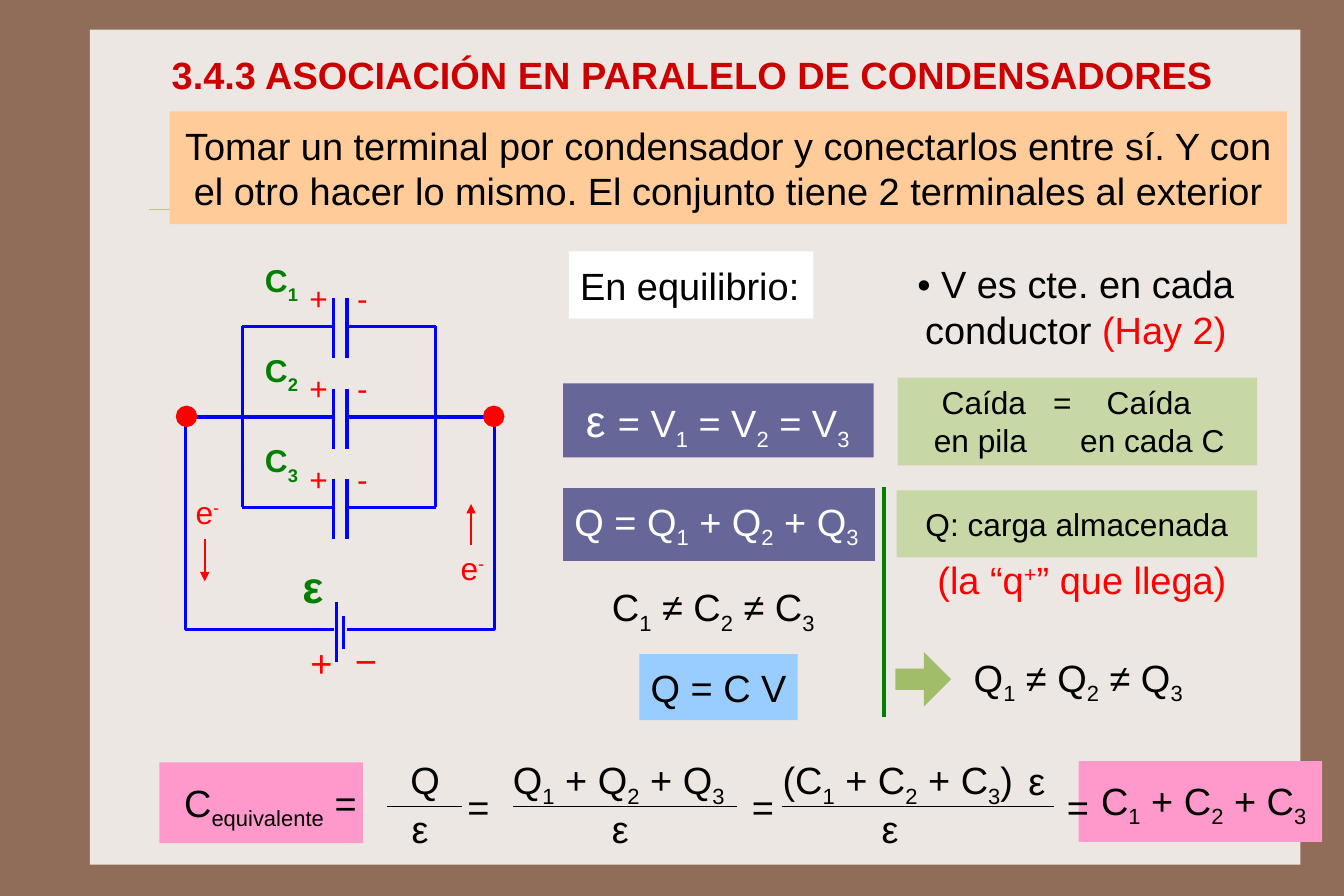
from dataclasses import dataclass
from typing import Any

from lxml import etree
from pptx import Presentation
from pptx.dml.color import RGBColor
from pptx.enum.shapes import MSO_CONNECTOR, MSO_SHAPE as SHAPE
from pptx.enum.text import MSO_ANCHOR as ANCHOR, PP_ALIGN as ALIGN
from pptx.oxml.ns import qn
from pptx.util import Inches, Pt

COLORS = {
    "frame": "906D58", "paper": "EDE7E3", "rule": "CBBD83", "title": "CC0000",
    "peach": "FFCC99", "white": "FFFFFF", "black": "000000", "violet": "666699",
    "sage": "C7D7A5", "arrow": "A1BD69", "sky": "99CCFF", "pink": "FF99CC",
    "wire": "0000FF", "red": "FF0000", "green": "008000",
}
CELL = 0.1  # inches per grid cell
SUB, SUPER = -25000, 30000
PLAIN = (0.1, 0.05)
ROOMY = (0.1, 0.09)


def cells(*counts):
    return [Inches(count * CELL) for count in counts]


def rgb(name):
    return RGBColor.from_string(COLORS[name])


@dataclass
class Region:
    """A part of the slide whose origin is given in grid cells."""
    shapes: Any
    left: float
    top: float

    def place(self, x, y, *size):
        return cells(self.left + x, self.top + y, *size)

    def block(self, box, fill, shape=SHAPE.RECTANGLE):
        block = self.shapes.add_shape(shape, *self.place(*box))
        block.shadow.inherit = False
        block.fill.solid()
        block.fill.fore_color.rgb = rgb(fill)
        block.line.fill.background()
        return block

    def line(self, start, end, color="wire", width=2, arrow=False):
        line = self.shapes.add_connector(
            MSO_CONNECTOR.STRAIGHT, *self.place(*start), *self.place(*end))
        line.line.color.rgb = rgb(color)
        line.line.width = Pt(width)
        properties = line._element.spPr
        if arrow:
            etree.SubElement(properties.find(qn("a:ln")), qn("a:tailEnd"), type="triangle")
        etree.SubElement(properties, qn("a:effectLst"))

    def wire(self, start, *corners):
        builder = self.shapes.build_freeform(*self.place(*start), scale=1.0)
        builder.add_line_segments([self.place(*corner) for corner in corners], close=False)
        wire = builder.convert_to_shape()
        wire.shadow.inherit = False
        wire.fill.background()
        wire.line.color.rgb = rgb("wire")
        wire.line.width = Pt(2)

    def text(self, words, box, size=24, color="black", fill=None, bold=False,
             inset=ROOMY, centered=False, middle=False, shift=SUB):
        """Braces mark raised or lowered characters; a bar starts a new run."""
        if fill:
            holder = self.block(box, fill)
        else:
            holder = self.shapes.add_textbox(*self.place(*box))
        frame = holder.text_frame
        frame.word_wrap = centered
        frame.vertical_anchor = ANCHOR.MIDDLE if middle else ANCHOR.TOP
        frame.margin_left = frame.margin_right = Inches(inset[0])
        frame.margin_top = frame.margin_bottom = Inches(inset[1])
        paragraph = frame.paragraphs[0]
        paragraph.alignment = ALIGN.CENTER if centered else ALIGN.LEFT
        for order, chunk in enumerate(words.replace("}", "{").split("{")):
            for piece in filter(None, chunk.split("|")):
                run = paragraph.add_run()
                run.text = piece
                style_run(run, size, color, bold)
                if order % 2:
                    run.font._element.set("baseline", str(shift))
        return frame


def style_run(run, size, color, bold=False):
    run.font.name = "Arial"
    run.font.size = Pt(size)
    run.font.bold = bold
    run.font.color.rgb = rgb(color)


def set_center_tabs(paragraph, stops):
    tabs = etree.SubElement(paragraph._p.get_or_add_pPr(), qn("a:tabLst"))
    for stop in stops:
        etree.SubElement(tabs, qn("a:tab"), pos=str(Inches(stop)), algn="ctr")


def draw_header(region):
    region.block((0, 0, 106.4, 73.4), "paper")
    region.line((5.2, 15.8), (104.3, 15.8), "rule", 0.25)
    region.text("3.4.3 ASOCIACIÓN EN PARALELO DE CONDENSADORES", (6.1, 1.4, 94.6, 5.1),
                color="title", bold=True, inset=(0.11, 0.05), middle=True)
    region.text("Tomar un terminal por condensador y conectarlos entre sí. Y con "
                "el otro hacer lo mismo. El conjunto tiene 2 terminales al exterior",
                (7, 7.2, 98.2, 9.9), fill="peach", centered=True, middle=True)


def draw_circuit(region):
    pitch, first_axis = 7.95, 6.7
    plates, rails, terminals = (14.3, 15.5), (6.3, 23.3), (1.3, 28.5)
    battery_axis = 33.3

    for number in range(3):
        drop = number * pitch
        axis = first_axis + drop
        ends = terminals if number == 1 else rails
        for plate, end in zip(plates, ends):
            region.line((plate, 4.2 + drop), (plate, 9.5 + drop))
            region.line((plate, axis), (end, axis))
        region.text(f"C{{{number + 1}}}", (7.3, 0.4 + drop, 5.5, 5.7), 20, "green",
                    bold=True, inset=PLAIN, shift=-30000)
        region.text("+", (11.2, 1.6 + drop, 3.6, 5.1), 20, "red")
        region.text("-", (15.4, 1.6 + drop, 2.9, 5.1), 20, "red")
    for rail in rails:
        region.line((rail, first_axis), (rail, first_axis + 2 * pitch))

    for terminal, pole in zip(terminals, (14.4, 15.5)):
        region.wire((terminal, 14), (terminal, battery_axis), (pole, battery_axis))
    region.line((14.6, 30.9), (14.6, 36.2))
    region.line((15.2, 32.1), (15.2, 35))
    region.text("ε", (10.6, 27.5, 3.7, 4), 28, "green", bold=True, inset=PLAIN, middle=True)
    region.text("+", (11.3, 33.3, 4, 5.9), color="red")
    region.text("−", (15.2, 33.1, 3.8, 5.9), color="red")

    for dot_left in (0.6, 27.6):
        dot = region.block((dot_left, 13.8, 1.6, 1.6), "red", SHAPE.OVAL)
        dot.line.color.rgb = rgb("red")
        dot.line.width = Pt(2)
    for x, tail, tip, label in ((3, 25.4, 29.1, (1.2, 20.4)), (26.4, 25.9, 22.3, (24.5, 25.3))):
        region.line((x, tail), (x, tip), "red", 1, arrow=True)
        region.text("e{-}", (*label, 4.5, 5.8), 20, "red", shift=SUPER)


def draw_laws(region):
    region.text("En equilibrio:", (1, 0.1, 21.5, 5.9), fill="white", middle=True)
    voltages = region.text("ε |= V{1} = V{2} = V{3}", (0.5, 11.7, 27.3, 6.5),
                           color="white", fill="violet", inset=(0.2, 0.09))
    voltages.paragraphs[0].runs[0].font.size = Pt(28)
    region.text("Q = Q{1} + Q{2} + Q{3}", (0.5, 20.9, 27.4, 6.4), color="white", fill="violet")
    region.text("C{1} ≠ C{2} ≠ C{3}", (3.8, 28.4, 20.2, 5.8))
    region.text("Q = C V", (7.2, 35.5, 13.9, 5.8), fill="sky")


def draw_notes(region):
    conductors = region.text("• V es cte. en cada conductor |(Hay 2)", (0.7, 0, 31.7, 9.9),
                             centered=True)
    conductors.paragraphs[0].runs[1].font.color.rgb = rgb("red")

    drops = region.block((0.9, 11.2, 31.6, 7.7), "sage").text_frame
    drops.word_wrap = True
    drops.vertical_anchor = ANCHOR.TOP
    drops.text = "\tCaída\t=\tCaída\n\ten pila\ten cada C"
    for paragraph, stops in zip(drops.paragraphs, ((0.66, 1.35, 2.11), (0.63, 2.14))):
        paragraph.alignment = ALIGN.LEFT
        set_center_tabs(paragraph, stops)
        for run in paragraph.runs:
            style_run(run, 20, "black")

    region.text("Q: carga almacenada", (0.8, 21.1, 31.7, 5.9), 20, fill="sage",
                inset=(0.16, 0.1), centered=True, middle=True)
    region.text("(la “q{+}” que llega)", (1.8, 26.4, 30.6, 5), color="red",
                inset=PLAIN, centered=True, shift=SUPER)
    region.line((-0.3, 20.8), (-0.3, 41), "green", 3)
    arrow = region.block((0.7, 35.3, 4.9, 4.8), "arrow", SHAPE.RIGHT_ARROW)
    arrow.adjustments[0], arrow.adjustments[1] = 0.39, 0.5
    region.text("Q{1} ≠ Q{2} ≠ Q{3}", (6.6, 34.6, 20.8, 5.8))


def draw_formula(region):
    region.block((80.8, 1.9, 21.4, 7.1), "pink")
    region.block((0, 2, 17.9, 7.1), "pink")
    region.text("C{equivalente} =", (1.2, 2.6, 18.8, 5.9))
    region.text("C{1} + C{2} + C{3}", (81.8, 2.4, 20.7, 5.9))
    fractions = (
        ("Q", 21.1, 4.6, (20, 26.6), 21.2, 26.1),
        ("Q{1} + Q{2} + Q{3}", 30.1, 21.2, (31.1, 50.8), 38.8, 51.1),
        ("(C{1} + C{2} + C{3})", 53.8, 22.9, (54.7, 78.6), 62.5, 78.8),
    )
    for numerator, left, width, bar, divisor_left, equals_left in fractions:
        region.line((bar[0], 5.9), (bar[1], 5.9), "black", 1)
        region.text(numerator, (left, 0.6, width, 5.9))
        region.text("ε", (divisor_left, 4.9, 3.5, 5.9))
        region.text("=", (equals_left, 3, 4, 5.9))
    region.text("ε", (75.4, 0.7, 3.5, 5.9))


def main():
    deck = Presentation()
    deck.slide_width, deck.slide_height = Pt(850.5), Pt(567)
    slide = deck.slides.add_slide(deck.slide_layouts[6])
    slide.background.fill.solid()
    slide.background.fill.fore_color.rgb = rgb("frame")
    regions = (
        (draw_header, 7.9, 2.6),
        (draw_formula, 14, 65),
        (draw_circuit, 15, 22),
        (draw_laws, 49, 22),
        (draw_notes, 78, 22),
    )
    for draw, left, top in regions:
        draw(Region(slide.shapes, left, top))
    deck.save("out.pptx")


if __name__ == "__main__":
    main()
